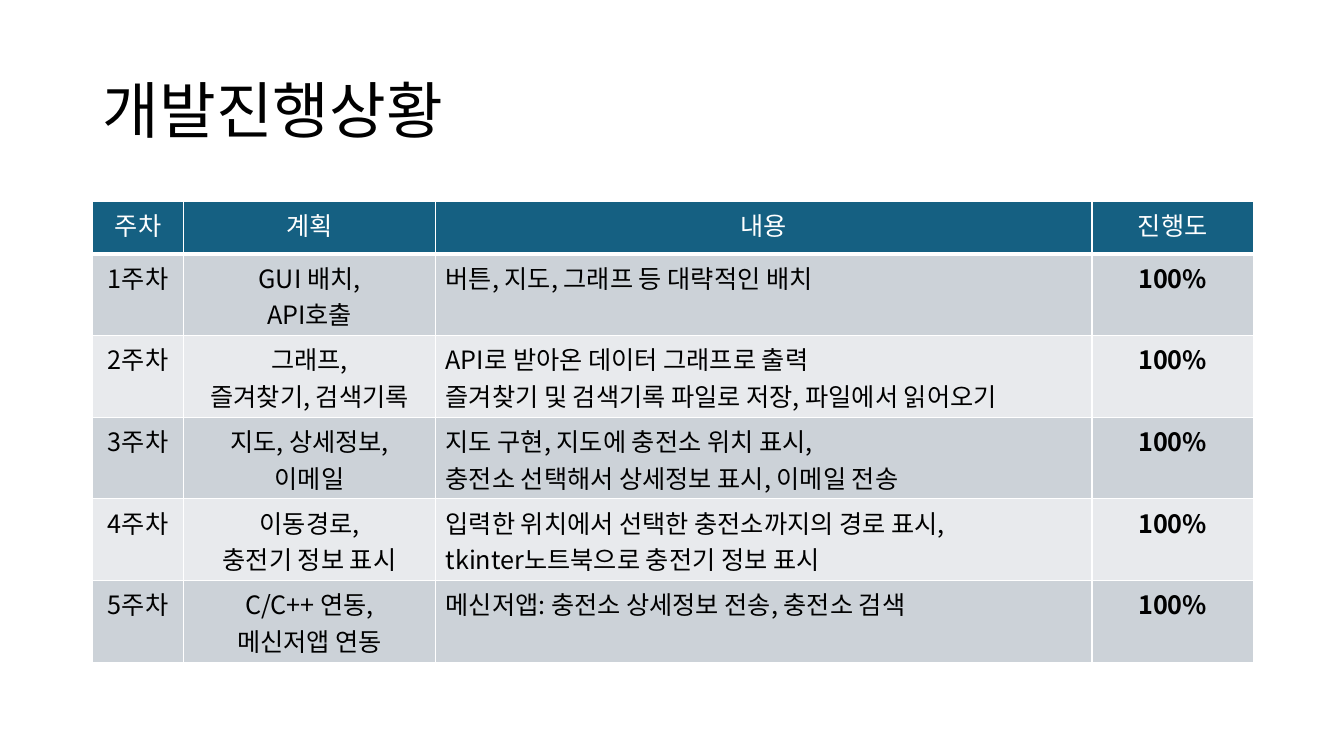
from lxml.etree import SubElement
from pptx import Presentation
from pptx.dml.color import RGBColor
from pptx.enum.text import MSO_ANCHOR, PP_ALIGN
from pptx.oxml.ns import qn
from pptx.util import Inches, Pt

FONT = "Noto Sans CJK KR"
BLACK = RGBColor(0, 0, 0)
WHITE = RGBColor(255, 255, 255)
TEAL = RGBColor(0x15, 0x60, 0x82)
BANDS = RGBColor(0xCC, 0xD2, 0xD8), RGBColor(0xE8, 0xEA, 0xED)

# Slide grid, in inches
SLIDE_W, SLIDE_H = 13.33, 7.5
MARGIN, CONTENT_W = 0.92, 11.5
COLS = 0.9, 2.5, 6.51, 1.6
HEADER_H, ROW_H = 0.52, 0.81

HEADER = "주차", "계획", "내용", "진행도"
WEEKS = [
    ("GUI 배치,\nAPI호출", "버튼, 지도, 그래프 등 대략적인 배치"),
    ("그래프,\n즐겨찾기, 검색기록",
     "API로 받아온 데이터 그래프로 출력\n즐겨찾기 및 검색기록 파일로 저장, 파일에서 읽어오기"),
    ("지도, 상세정보,\n이메일",
     "지도 구현, 지도에 충전소 위치 표시,\n충전소 선택해서 상세정보 표시, 이메일 전송"),
    ("이동경로,\n충전기 정보 표시",
     "입력한 위치에서 선택한 충전소까지의 경로 표시,\ntkinter노트북으로 충전기 정보 표시"),
    ("C/C++ 연동,\n메신저앱 연동", "메신저앱: 충전소 상세정보 전송, 충전소 검색"),
]
PROGRESS = "100%"


def write(tf, text, size, color, align=PP_ALIGN.LEFT, bold=False):
    tf.text = text
    for p in tf.paragraphs:
        p.alignment = align
        p.font.size, p.font.bold, p.font.name = Pt(size), bold, FONT
        p.font.color.rgb = color
        # Korean glyphs take the East Asian typeface
        r_pr = p._p.get_or_add_pPr().get_or_add_defRPr()
        SubElement(r_pr, qn("a:ea"), typeface=FONT)


def set_borders(cell, bottom):
    tc_pr = cell._tc.get_or_add_tcPr()
    widths = {"lnL": 1, "lnR": 1, "lnT": 1, "lnB": bottom}
    for i, (side, width) in enumerate(widths.items()):
        ln = tc_pr.makeelement(qn(f"a:{side}"), {"w": str(Pt(width))})
        fill = SubElement(ln, qn("a:solidFill"))
        SubElement(fill, qn("a:srgbClr"), val=str(WHITE))
        tc_pr.insert(i, ln)


def add_title(s, x, y, w, h):
    tf = s.shapes.add_textbox(*map(Inches, (x, y, w, h))).text_frame
    tf.word_wrap = True
    tf.vertical_anchor = MSO_ANCHOR.MIDDLE
    write(tf, "개발진행상황", 44, BLACK)
    tf.paragraphs[0].line_spacing = 0.9


def add_progress_table(s, x, y, w):
    rows = [HEADER] + [(f"{n}주차", plan, detail, PROGRESS)
                       for n, (plan, detail) in enumerate(WEEKS, 1)]
    h = HEADER_H + ROW_H * len(WEEKS)
    table = s.shapes.add_table(len(rows), len(COLS),
                               *map(Inches, (x, y, w, h))).table
    table.first_row = table.horz_banding = False
    for column, width in zip(table.columns, COLS):
        column.width = Inches(width)

    for i, row in enumerate(rows):
        is_header = i == 0
        table.rows[i].height = Inches(HEADER_H if is_header else ROW_H)
        for j, text in enumerate(row):
            cell = table.cell(i, j)
            cell.fill.solid()
            cell.fill.fore_color.rgb = TEAL if is_header else BANDS[(i - 1) % 2]
            set_borders(cell, bottom=3 if is_header else 1)
            is_detail = j == 2 and not is_header
            write(cell.text_frame, text, 18, WHITE if is_header else BLACK,
                  PP_ALIGN.LEFT if is_detail else PP_ALIGN.CENTER,
                  bold=text == PROGRESS)


def main():
    prs = Presentation()
    prs.slide_width, prs.slide_height = Inches(SLIDE_W), Inches(SLIDE_H)
    s = prs.slides.add_slide(prs.slide_layouts[6])
    add_title(s, MARGIN, 0.4, CONTENT_W, 1.45)
    add_progress_table(s, MARGIN, 2, CONTENT_W)
    prs.save("out.pptx")


if __name__ == "__main__":
    main()
